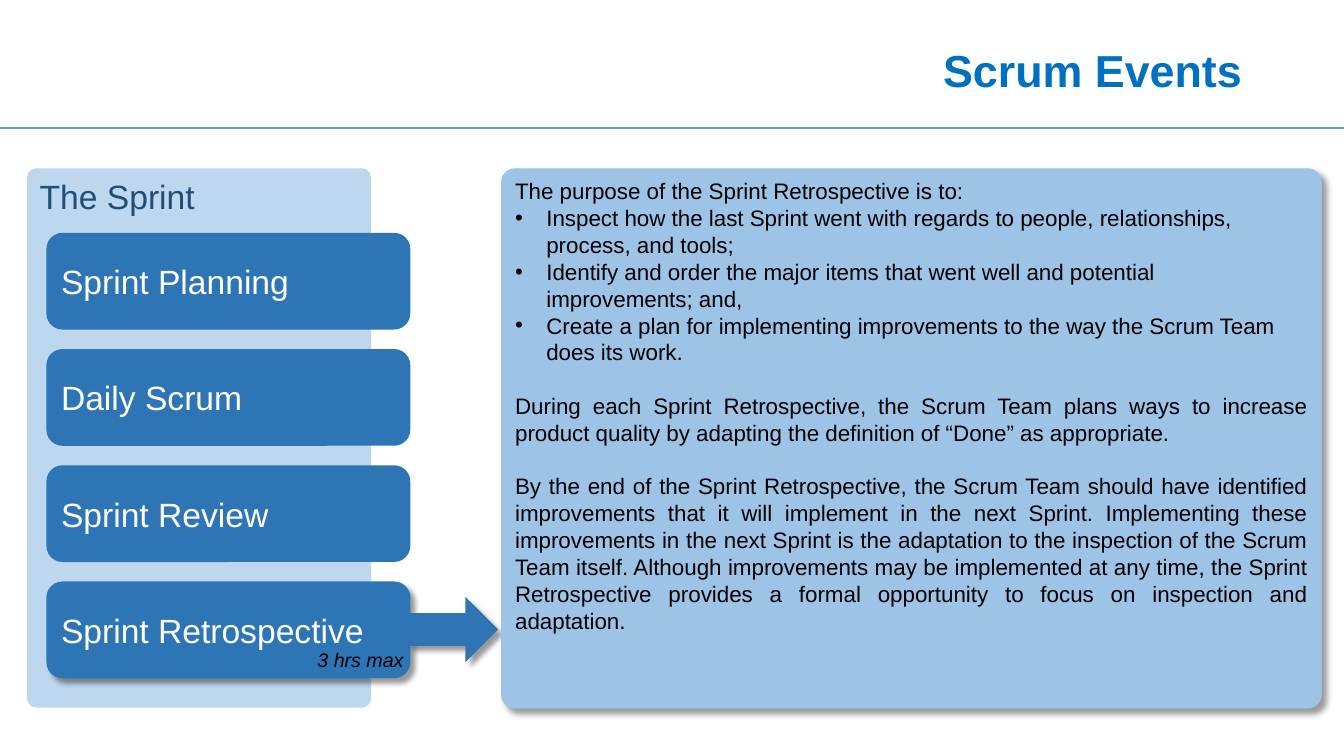
from lxml.etree import SubElement
from pptx import Presentation
from pptx.dml.color import RGBColor
from pptx.enum.shapes import MSO_CONNECTOR, MSO_SHAPE
from pptx.enum.text import MSO_ANCHOR, PP_ALIGN
from pptx.oxml.ns import qn
from pptx.util import Inches, Pt

BLUE = "2E75B6"
EVENTS = ["Sprint Planning", "Daily Scrum", "Sprint Review", "Sprint Retrospective"]
INTRO = "The purpose of the Sprint Retrospective is to:"
GOALS = [
    "Inspect how the last Sprint went with regards to people, relationships, process, and tools;",
    "Identify and order the major items that went well and potential improvements; and,",
    "Create a plan for implementing improvements to the way the Scrum Team does its work.",
]
NOTES = [
    "During each Sprint Retrospective, the Scrum Team plans ways to increase product quality "
    "by adapting the definition of “Done” as appropriate.",
    "By the end of the Sprint Retrospective, the Scrum Team should have identified improvements "
    "that it will implement in the next Sprint. Implementing these improvements in the next Sprint "
    "is the adaptation to the inspection of the Scrum Team itself. Although improvements may be "
    "implemented at any time, the Sprint Retrospective provides a formal opportunity to focus on "
    "inspection and adaptation.",
]


def color(code):
    return RGBColor.from_string(code)


def style(para, size, code, align=PP_ALIGN.LEFT, bold=False, italic=False):
    para.alignment = align
    font = para.font
    font.name, font.size = "Arial", Pt(size)
    font.bold, font.italic = bold, italic
    font.color.rgb = color(code)


def add_shadow(shape):
    effects = shape._element.spPr.find(qn("a:effectLst"))
    outer = SubElement(effects, qn("a:outerShdw"), blurRad=str(Pt(4)), dist=str(Pt(5)),
                       dir=str(45 * 60000), algn="tl", rotWithShape="0")
    black = SubElement(outer, qn("a:srgbClr"), val="000000")
    SubElement(black, qn("a:alpha"), val="40000")


def add_block(slide, kind, box, fill, round_by=None, shadow=False):
    shape = slide.shapes.add_shape(kind, *map(Inches, box))
    shape.fill.solid()
    shape.fill.fore_color.rgb = color(fill)
    shape.line.fill.background()
    shape.shadow.inherit = False
    if round_by:
        shape.adjustments[0] = round_by
    if shadow:
        add_shadow(shape)
    return shape


def add_label(shape, text, size, code, anchor=MSO_ANCHOR.MIDDLE, wrap=True, **look):
    frame = shape.text_frame
    frame.word_wrap = wrap
    frame.vertical_anchor = anchor
    frame.text = text
    style(frame.paragraphs[0], size, code, **look)
    return frame


def add_text(slide, box, text, size, code, **look):
    label = slide.shapes.add_textbox(*map(Inches, box))
    return add_label(label, text, size, code, **look)


def add_bullet(para):
    props = para._p.get_or_add_pPr()
    props.set("marL", str(Inches(0.31)))
    props.set("indent", str(Inches(-0.31)))
    SubElement(props, qn("a:buFont"), typeface="Arial")
    SubElement(props, qn("a:buChar"), char="•")


def add_rule(slide, top):
    rule = slide.shapes.add_connector(
        MSO_CONNECTOR.STRAIGHT, 0, Inches(top), Inches(13.33), Inches(top))
    rule.line.color.rgb = color("5B9BD5")
    rule.line.width = Pt(1.5)
    SubElement(rule._element.spPr, qn("a:effectLst"))


def add_events(slide):
    panel = add_block(slide, MSO_SHAPE.ROUNDED_RECTANGLE, (0.27, 1.67, 3.41, 5.35),
                      "BDD7EE", 0.026)
    add_label(panel, "The Sprint", 24, "1F4E79", anchor=MSO_ANCHOR.TOP)
    for i, name in enumerate(EVENTS):
        event = add_block(slide, MSO_SHAPE.ROUNDED_RECTANGLE,
                          (0.46, 2.31 + i * 1.153, 3.61, 0.96), BLUE,
                          shadow=name == EVENTS[-1])
        add_label(event, name, 24, "FFFFFF")


def add_detail(slide):
    panel = add_block(slide, MSO_SHAPE.ROUNDED_RECTANGLE, (4.97, 1.67, 8.14, 5.36),
                      "9DC3E6", 0.026, shadow=True)
    frame = add_label(panel, INTRO, 16, "000000", anchor=MSO_ANCHOR.TOP)
    for goal in GOALS:
        para = frame.add_paragraph()
        para.text = goal
        add_bullet(para)
        style(para, 16, "000000")
    for note in NOTES:
        para = frame.add_paragraph()
        para.text = note
        para.space_before = Pt(19)
        style(para, 16, "000000", align=PP_ALIGN.JUSTIFY)


def main():
    deck = Presentation()
    deck.slide_width, deck.slide_height = Inches(13.33), Inches(7.5)
    slide = deck.slides.add_slide(deck.slide_layouts[6])
    add_rule(slide, 1.27)
    title = add_text(slide, (0.92, 0.4, 11.5, 0.64), "Scrum Events", 32, "0070C0",
                     align=PP_ALIGN.RIGHT, bold=True)
    title.paragraphs[0].line_spacing = 0.9
    add_events(slide)
    add_block(slide, MSO_SHAPE.RIGHT_ARROW, (4.05, 5.92, 0.89, 0.65), BLUE, shadow=True)
    add_detail(slide)
    add_text(slide, (3.05, 6.38, 1.06, 0.34), "3 hrs max", 14, "000000",
             anchor=MSO_ANCHOR.TOP, wrap=False, italic=True)
    deck.save("out.pptx")


if __name__ == "__main__":
    main()
